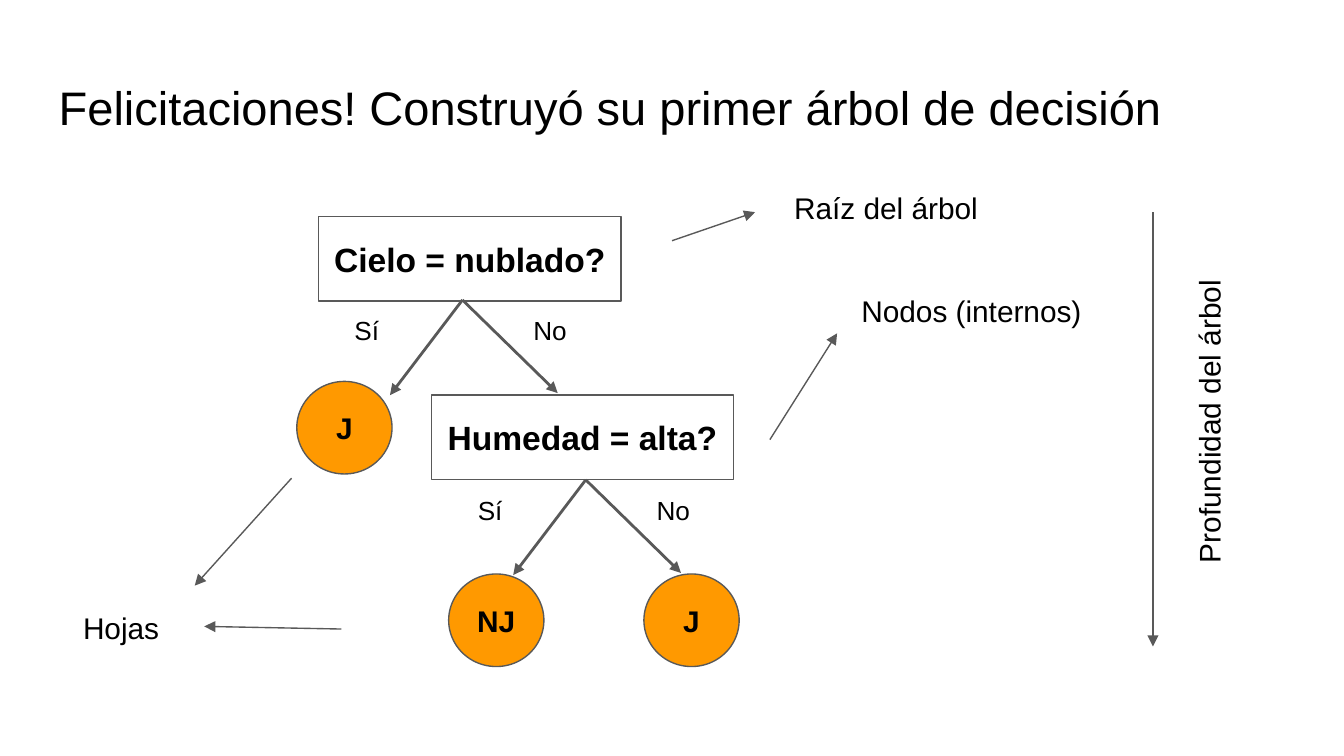
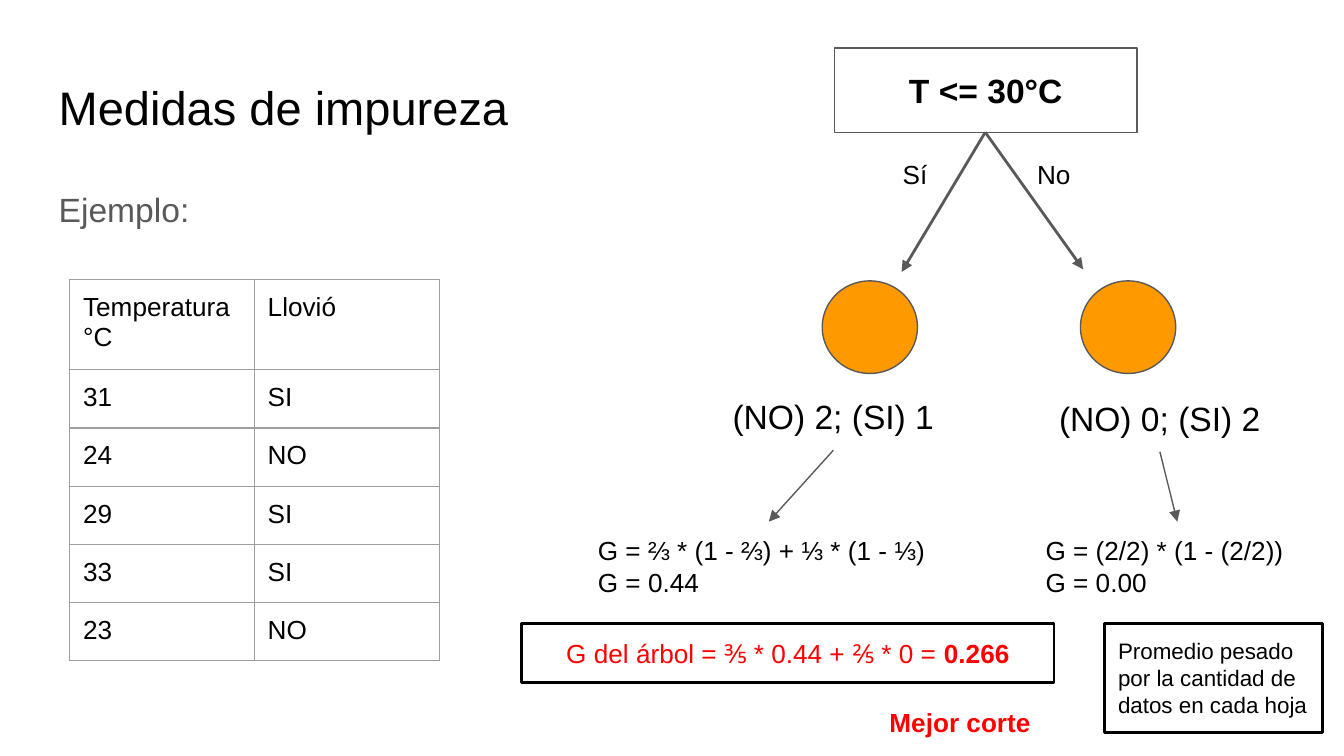
import pptx
import pptx.dml.color
import pptx.enum.shapes
import pptx.enum.text
import pptx.oxml.ns
import pptx.util
from lxml import etree

Cm = pptx.util.Cm
Pt = pptx.util.Pt
qn = pptx.oxml.ns.qn
SHAPE = pptx.enum.shapes.MSO_SHAPE
ALIGN = pptx.enum.text.PP_ALIGN
ANCHOR = pptx.enum.text.MSO_ANCHOR

COLORS = {
    "text": "000000",
    "line": "595959",
    "node": "FFFFFF",
    "leaf": "FF9900",
    "grid": "9E9E9E",
    "accent": "FF0000",
}
FONT = "Arial"
INSET = Cm(0.25)
NODE = (5.72, 1.6)
LEAF = (1.8, 1.75)
THIN, THICK = 0.75, 1.5


def rgb(name):
    return pptx.dml.color.RGBColor.from_string(COLORS[name])


def write(tf, text, size=14, color="text", bold=False, align=ALIGN.LEFT,
          anchor=ANCHOR.TOP, bold_end="", spacing=None, after=None):
    tf.word_wrap = True
    tf.vertical_anchor = anchor
    tf.margin_left = tf.margin_right = tf.margin_top = tf.margin_bottom = INSET
    for i, line in enumerate(text.split("\n")):
        p = tf.paragraphs[0] if i == 0 else tf.add_paragraph()
        p.alignment = align
        if spacing:
            p.line_spacing = spacing
        if after:
            p.space_after = Pt(after)
        for part, heavy in ((line, bold), (bold_end, True)):
            if part:
                r = p.add_run()
                r.text = part
                r.font.name = FONT
                r.font.size = Pt(size)
                r.font.bold = heavy
                r.font.color.rgb = rgb(color)


def add_text(s, text, x, y, w, h=1.19, rotation=0, **fmt):
    sp = s.shapes.add_textbox(Cm(x), Cm(y), Cm(w), Cm(h))
    sp.rotation = rotation
    write(sp.text_frame, text, **fmt)


def add_title(s, text, w):
    add_text(s, text, 0.86, 1.24, w, 1.59, size=25.2)


def add_box(s, kind, x, y, w, h, text="", fill=None, line="line", width=THIN, **fmt):
    sp = s.shapes.add_shape(kind, Cm(x), Cm(y), Cm(w), Cm(h))
    sp.shadow.inherit = False
    if fill:
        sp.fill.solid()
        sp.fill.fore_color.rgb = rgb(fill)
    else:
        sp.fill.background()
    sp.line.color.rgb = rgb(line)
    sp.line.width = Pt(width)
    if text:
        write(sp.text_frame, text, **fmt)


def add_node(s, text, x, y):
    add_box(s, SHAPE.RECTANGLE, x, y, *NODE, text, "node", size=18, bold=True,
            align=ALIGN.CENTER, anchor=ANCHOR.MIDDLE)


def add_leaf(s, x, y, text=""):
    add_box(s, SHAPE.OVAL, x, y, *LEAF, text, "leaf", size=16, bold=True,
            align=ALIGN.CENTER, anchor=ANCHOR.MIDDLE)


def add_arrow(s, x1, y1, x2, y2, width=THIN):
    kind = pptx.enum.shapes.MSO_CONNECTOR.STRAIGHT
    c = s.shapes.add_connector(kind, Cm(x1), Cm(y1), Cm(x2), Cm(y2))
    c.line.color.rgb = rgb("line")
    c.line.width = Pt(width)
    etree.SubElement(c.line._get_or_add_ln(), qn("a:tailEnd"), type="triangle")
    etree.SubElement(c._element.spPr, qn("a:effectLst"))


def add_split(s, x, y, yes, no, yes_label, no_label, label_drop):
    for text, (dx, dy), label in (("Sí", yes, yes_label), ("No", no, no_label)):
        add_arrow(s, x, y, x + dx, y + dy, THICK)
        add_text(s, text, x + label, y + label_drop, 1.19, 1.12)


def add_borders(cell):
    tcPr = cell._tc.get_or_add_tcPr()
    for i, side in enumerate(("lnL", "lnR", "lnT", "lnB")):
        ln = etree.Element(qn("a:" + side), w=str(Pt(THIN)))
        fill = etree.SubElement(ln, qn("a:solidFill"))
        etree.SubElement(fill, qn("a:srgbClr"), val=COLORS["grid"])
        tcPr.insert(i, ln)


def add_table(s, rows, x, y, col_w, head_h, row_h):
    n = len(rows)
    frame = s.shapes.add_table(n, len(rows[0]), Cm(x), Cm(y),
                               Cm(col_w * len(rows[0])), Cm(head_h + row_h * (n - 1)))
    t = frame.table
    t.first_row = t.horz_banding = False
    for col in t.columns:
        col.width = Cm(col_w)
    for i, row in enumerate(rows):
        t.rows[i].height = Cm(row_h if i else head_h)
        for j, text in enumerate(row):
            cell = t.cell(i, j)
            cell.margin_left = cell.margin_right = INSET
            cell.margin_top = cell.margin_bottom = INSET
            write_cell(cell, text)
            cell.fill.background()
            add_borders(cell)


def write_cell(cell, text):
    r = cell.text_frame.paragraphs[0].add_run()
    r.text = text
    r.font.name = FONT
    r.font.size = Pt(14)
    r.font.color.rgb = rgb("text")


def build_first_tree(s):
    add_title(s, "Felicitaciones! Construyó su primer árbol de decisión", 23.67)
    add_node(s, "Cielo = nublado?", 6.02, 4.09)
    add_node(s, "Humedad = alta?", 8.15, 7.47)
    for x, y in ((8.74, 5.67), (11.07, 9.07)):
        add_split(s, x, y, (-1.37, 1.8), (1.8, 1.76), -2.29, 1.09, 0.03)
    for text, x, y in (("J", 5.61, 7.21), ("NJ", 8.48, 10.85), ("J", 12.17, 10.85)):
        add_leaf(s, x, y, text)
    for text, x, y in (("Raíz del árbol", 14.76, 3.33),
                       ("Nodos (internos)", 16.03, 5.28),
                       ("Hojas", 1.32, 11.28)):
        add_text(s, text, x, y, 5.13, size=16)
    for ends in ((12.7, 4.55, 14.27, 4.01), (14.55, 8.31, 15.82, 6.3),
                 (5.51, 9.04, 3.68, 11.07), (6.45, 11.89, 3.86, 11.84)):
        add_arrow(s, *ends)
    add_arrow(s, 21.79, 4.01, 21.79, 12.22, THICK)
    add_text(s, "Profundidad del árbol", 19.41, 6.86, 6.88, rotation=270, size=16)


def build_impurity(s):
    add_title(s, "Medidas de impureza", 10.06)
    add_text(s, "Ejemplo:", 0.86, 3.2, 10.06, 1.32, size=18, color="line",
             spacing=1.15, after=12)
    add_node(s, "T <= 30°C", 15.77, 0.91)
    add_split(s, 18.62, 2.5, (-1.58, 2.64), (1.85, 2.59), -1.81, 0.73, 0.25)
    for x in (15.54, 20.42):
        add_leaf(s, x, 5.31)
    rows = [("Temperatura °C", "Llovió"), ("31", "SI"), ("24", "NO"),
            ("29", "SI"), ("33", "SI"), ("23", "NO")]
    add_table(s, rows, 1.32, 5.29, 3.49, 1.7, 1.1)
    for text, x, y in (("(NO) 2; (SI) 1", 13.49, 7.23), ("(NO) 0; (SI) 2", 19.66, 7.27)):
        add_text(s, text, x, y, 4.52, 1.27, size=18, align=ALIGN.CENTER)
    add_text(s, "G = ⅔ * (1 - ⅔) + ⅓ * (1 - ⅓)\nG = 0.44", 11.05, 9.86, 6.99, 1.7)
    add_text(s, "G = (2/2) * (1 - (2/2))\nG = 0.00", 19.51, 9.86, 5.51, 1.7)
    add_arrow(s, 15.75, 8.51, 14.53, 9.86)
    add_arrow(s, 21.92, 8.54, 22.25, 9.86)
    add_box(s, SHAPE.RECTANGLE, 9.86, 11.79, 10.06, 1.12,
            "G del árbol = ⅗ * 0.44 + ⅖ * 0 = ", line="text", width=THICK,
            color="accent", align=ALIGN.CENTER, bold_end="0.266")
    add_box(s, SHAPE.RECTANGLE, 20.88, 11.79, 4.11, 2.06,
            "Promedio pesado por la cantidad de datos en cada hoja",
            line="text", width=THICK, size=12)
    add_text(s, "Mejor corte", 16.56, 13.11, 4.11, 1.12, color="accent", bold=True)


def main():
    prs = pptx.Presentation()
    prs.slide_width, prs.slide_height = Cm(25.4), Cm(14.29)
    for build in (build_first_tree, build_impurity):
        build(prs.slides.add_slide(prs.slide_layouts[6]))
    prs.save("out.pptx")


if __name__ == "__main__":
    main()
